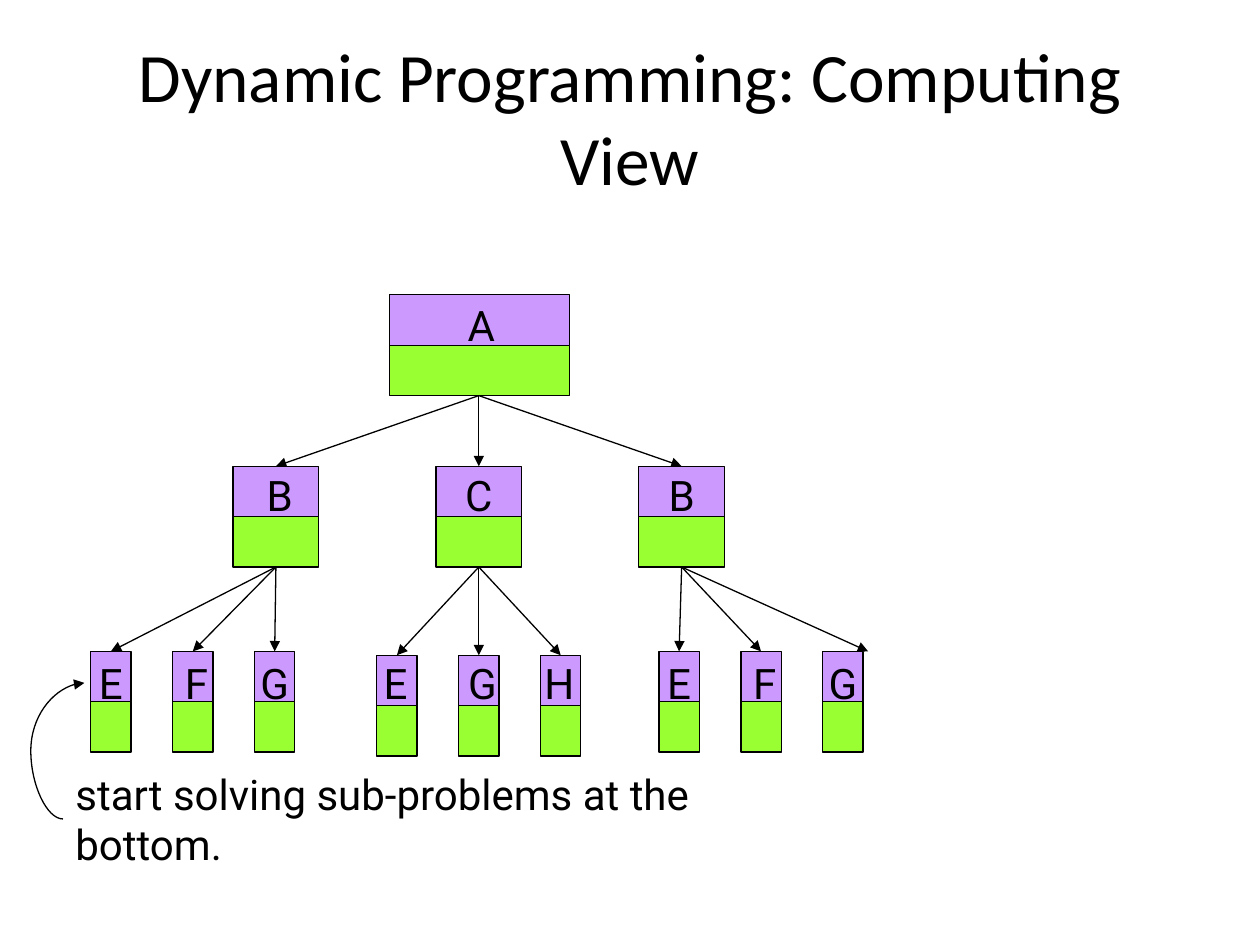
from dataclasses import dataclass

from lxml import etree
from pptx import Presentation
from pptx import util as u
from pptx.dml import color
from pptx.enum import shapes, text
from pptx.oxml import ns

EMU_PER_PX = 9144
HALF = 40
COLORS = {"ink": "000000", "problem": "CC99FF", "solution": "99FF33"}
LABEL_FONT = {"name": "Roboto", "size": u.Pt(24)}
TITLE_FONT = {"name": "Calibri", "size": u.Pt(39.6)}
LABEL_FRAME = {"word_wrap": False, "vertical_anchor": text.MSO_ANCHOR.MIDDLE}
WRAPPED_FRAME = {**LABEL_FRAME, "word_wrap": True}


@dataclass(frozen=True)
class Problem:
    name: str
    left: int
    top: int
    width: int
    label_top: int
    label_shift: int = 0
    tip_shift: int = 0

    @property
    def center(self) -> int:
        return self.left + self.width // 2

    @property
    def bottom(self) -> int:
        return self.top + 2 * HALF


def px(length: int) -> u.Emu:
    return u.Emu(length * EMU_PER_PX)


def rgb(key: str) -> color.RGBColor:
    return color.RGBColor.from_string(COLORS[key])


def apply(target, values: dict) -> None:
    for key, value in values.items():
        setattr(target, key, value)


def add_text(slide, words: str, box: tuple[int, ...], font: dict, frame: dict,
             align=text.PP_ALIGN.CENTER) -> None:
    text_frame = slide.shapes.add_textbox(*map(px, box)).text_frame
    apply(text_frame, frame)
    paragraph = text_frame.paragraphs[0]
    paragraph.alignment = align
    run = paragraph.add_run()
    run.text = words
    apply(run.font, font)
    run.font.color.rgb = rgb("ink")


def add_half(slide, problem: Problem, top: int, fill: str) -> None:
    half = slide.shapes.add_shape(
        shapes.MSO_SHAPE.RECTANGLE,
        *map(px, (problem.left, top, problem.width, HALF)))
    half.shadow.inherit = False
    half.fill.solid()
    half.fill.fore_color.rgb = rgb(fill)
    half.line.color.rgb = rgb("ink")
    half.line.width = u.Pt(0.75)


def add_arrow(slide, start: tuple[int, int], end: tuple[int, int],
              kind=shapes.MSO_CONNECTOR.STRAIGHT):
    arrow = slide.shapes.add_connector(kind, *map(px, start + end))
    arrow.line.color.rgb = rgb("ink")
    arrow.line.width = u.Pt(0.75)
    etree.SubElement(arrow.line._get_or_add_ln(), ns.qn("a:tailEnd"), type="triangle")
    etree.SubElement(arrow._element.spPr, ns.qn("a:effectLst"))
    return arrow


def add_problem(slide, problem: Problem) -> None:
    add_half(slide, problem, problem.top, "problem")
    add_half(slide, problem, problem.top + HALF, "solution")
    label_left = problem.center + problem.label_shift - 22
    add_text(slide, problem.name, (label_left, problem.label_top, 44, 50),
             LABEL_FONT, LABEL_FRAME)


def add_branches(slide, parent: Problem, children: list[Problem]) -> None:
    for child in children:
        add_arrow(slide, (parent.center, parent.bottom),
                  (child.center + child.tip_shift, child.top))


def leaves(names: str, left: int, top: int, shifts: tuple[int, ...],
           tips: tuple[int, ...] = (0, 0, 0)) -> list[Problem]:
    return [Problem(name, left + 65 * i, top, 32, 517, shift, tip)
            for i, (name, shift, tip) in enumerate(zip(names, shifts, tips))]


def main() -> None:
    deck = Presentation()
    deck.slide_width, deck.slide_height = px(1000), px(750)
    slide = deck.slides.add_slide(deck.slide_layouts[6])

    root = Problem("A", 309, 234, 143, 233, 2)
    middle = [Problem(name, 185 + 161 * i, 370, 68, 368, shift)
              for i, (name, shift) in enumerate(zip("BCB", (3, 0, 0)))]
    bottom = [
        leaves("EFG", 72, 517, (0, 3, 0)),
        leaves("EGH", 299, 520, (-1, 3, -1)),
        leaves("EFG", 523, 517, (0, 3, 0), (0, 0, 20)),
    ]

    add_text(slide, "Dynamic Programming: Computing View", (50, 30, 900, 125),
             TITLE_FONT, WRAPPED_FRAME)
    add_text(slide, "start solving sub-problems at the bottom.",
             (50, 625, 622, 50), LABEL_FONT, WRAPPED_FRAME, text.PP_ALIGN.LEFT)

    start_here = add_arrow(slide, (50, 650), (67, 542), shapes.MSO_CONNECTOR.CURVE)
    bend = start_here._element.spPr.prstGeom.get_or_add_avLst()
    etree.SubElement(bend, ns.qn("a:gd"), name="adj1", fmla="val -150000")

    add_branches(slide, root, middle)
    for parent, children in zip(middle, bottom):
        add_branches(slide, parent, children)
    for problem in [root, *middle, *sum(bottom, [])]:
        add_problem(slide, problem)

    deck.save("out.pptx")


if __name__ == "__main__":
    main()
